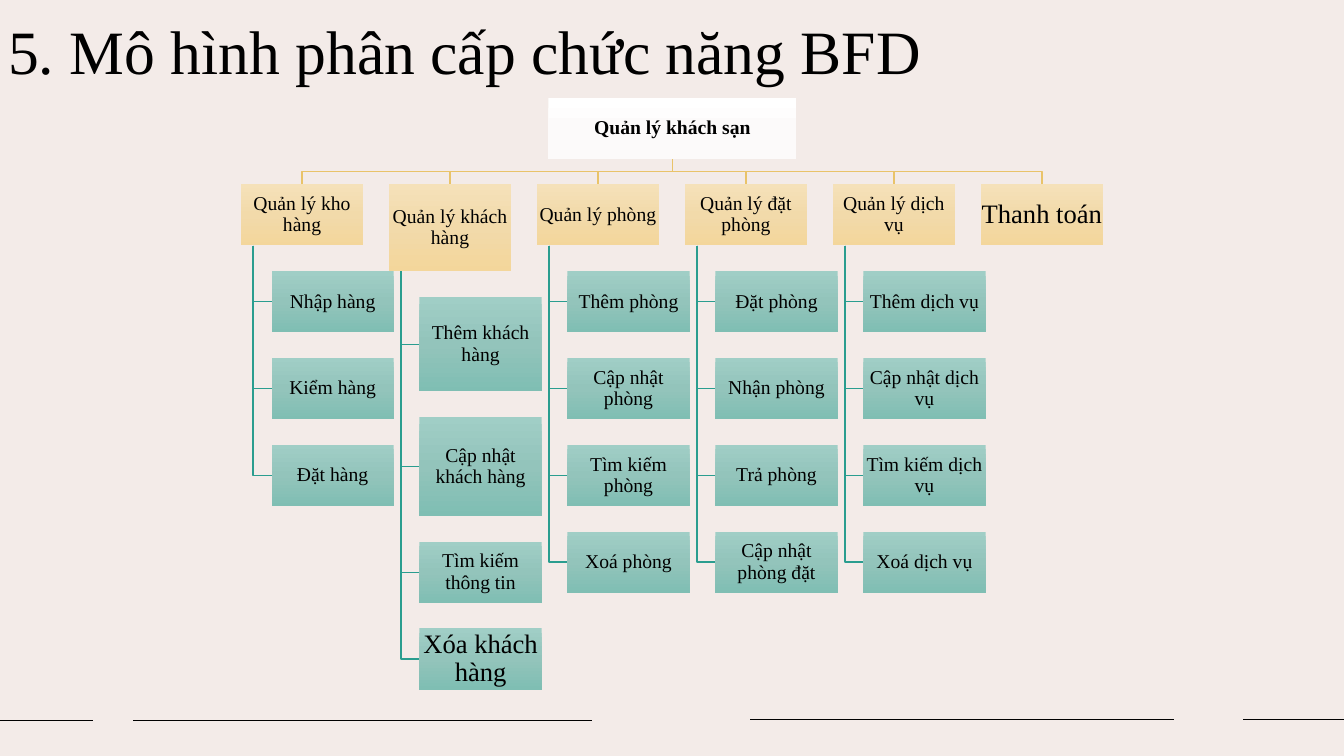
import copy
import dataclasses
import typing

import pptx
import pptx.dml.color
import pptx.enum.shapes
import pptx.enum.text
import pptx.oxml.ns
import pptx.oxml.xmlchemy
import pptx.util

Inches = pptx.util.Inches

FONT = "Times New Roman"
BLACK = "000000"
WHITE_FILL = ("FFFFFF", "FCFAFA", "FCFAF9")
SAND_FILL = ("F5E1B9", "F2DAAA", "F3D69B")
TEAL_FILL = ("A0CEC6", "93C4BB", "7FBEB3")
SAND_LINE = "E9C369"
TEAL_LINE = "2A9D8F"

# The chart's proportions all follow from the width of one box.
CHART_LEFT = 2.39
CHART_WIDTH = 8.55
BRANCH_TOP = 1.83
GAP_RATIO = 0.21
BRANCH_COUNT = 6
BOX_WIDTH = CHART_WIDTH / (BRANCH_COUNT + (BRANCH_COUNT - 1) * GAP_RATIO)
BOX_HEIGHT = BOX_WIDTH / 2
GAP = BOX_WIDTH * GAP_RATIO
CHILD_INDENT = BOX_WIDTH / 4
SPINE_INDENT = BOX_WIDTH / 10


@dataclasses.dataclass
class Box:
    text: str
    height: float = BOX_HEIGHT
    size: int = 14
    width: float = BOX_WIDTH
    bold: bool = False
    fill: tuple[str, ...] = TEAL_FILL
    left: float = 0
    top: float = 0

    @property
    def center(self) -> float:
        return self.left + self.width / 2

    @property
    def middle(self) -> float:
        return self.top + self.height / 2

    @property
    def bottom(self) -> float:
        return self.top + self.height


@dataclasses.dataclass
class Branch:
    head: Box
    children: list[Box]


class Rule(typing.NamedTuple):
    start: float
    end: float
    y: float


ROOT = Box("Quản lý khách sạn", width=2.46, bold=True, fill=WHITE_FILL, left=5.44, top=0.97)
BRANCHES = [
    Branch(Box("Quản lý kho hàng"), [Box("Nhập hàng"), Box("Kiểm hàng"), Box("Đặt hàng")]),
    Branch(Box("Quản lý khách hàng", height=0.86), [
        Box("Thêm khách hàng", height=0.94), Box("Cập nhật khách hàng", height=0.98),
        Box("Tìm kiếm thông tin"), Box("Xóa khách hàng", size=19)]),
    Branch(Box("Quản lý phòng"), [
        Box("Thêm phòng"), Box("Cập nhật phòng"), Box("Tìm kiếm phòng"), Box("Xoá phòng")]),
    Branch(Box("Quản lý đặt phòng"), [
        Box("Đặt phòng"), Box("Nhận phòng"), Box("Trả phòng"), Box("Cập nhật phòng đặt")]),
    Branch(Box("Quản lý dịch vụ"), [
        Box("Thêm dịch vụ"), Box("Cập nhật dịch vụ"), Box("Tìm kiếm dịch vụ"), Box("Xoá dịch vụ")]),
    Branch(Box("Thanh toán", size=19), []),
]
FOOTER_RULES = [Rule(0, 0.92, 7.15), Rule(1.32, 5.87, 7.15),
                Rule(7.44, 11.64, 7.14), Rule(12.33, 13.33, 7.14)]


def rgb(value: str) -> pptx.dml.color.RGBColor:
    return pptx.dml.color.RGBColor.from_string(value)


def apply_format(target: typing.Any, values: dict[str, typing.Any]) -> None:
    for name, value in values.items():
        setattr(target, name, value)


def format_font(font: typing.Any, size: int, bold: bool = False) -> None:
    apply_format(font, {"name": FONT, "size": pptx.util.Pt(size), "bold": bold})
    font.color.rgb = rgb(BLACK)


def format_line(line: typing.Any, color: str) -> None:
    line.color.rgb = rgb(color)
    line.width = pptx.util.Pt(1)


def fill_gradient(shape: typing.Any, colors: tuple[str, ...]) -> None:
    """Fill from top to bottom with evenly spaced colours."""
    shape.fill.gradient()
    shape.fill.gradient_angle = 270
    stop_list = shape._element.spPr.find(".//" + pptx.oxml.ns.qn("a:gsLst"))
    while len(stop_list) < len(colors):
        stop_list.append(copy.deepcopy(stop_list[0]))
    for index, (stop, color) in enumerate(zip(shape.fill.gradient_stops, colors)):
        stop.color.rgb = rgb(color)
        stop.position = index / (len(colors) - 1)


def arrange(branches: list[Branch]) -> None:
    """Place the heads in a row and each head's children below it."""
    for column, branch in enumerate(branches):
        left = CHART_LEFT + column * (BOX_WIDTH + GAP)
        apply_format(branch.head, {"left": left, "top": BRANCH_TOP, "fill": SAND_FILL})
        above = branch.head
        for child in branch.children:
            apply_format(child, {"left": left + CHILD_INDENT, "top": above.bottom + GAP})
            above = child


def draw_link(slide: typing.Any, color: str, *points: tuple[float, float]) -> None:
    start, *others = [(Inches(x), Inches(y)) for x, y in points]
    builder = slide.shapes.build_freeform(*start)
    builder.add_line_segments(others, close=False)
    shape = builder.convert_to_shape()
    shape.shadow.inherit = False
    shape.fill.background()
    format_line(shape.line, color)


def draw_branch_links(slide: typing.Any, root: Box, branch: Branch) -> None:
    head = branch.head
    bus = (root.bottom + head.top) / 2
    draw_link(slide, SAND_LINE, (root.center, root.bottom), (root.center, bus),
              (head.center, bus), (head.center, head.top))
    spine = head.left + SPINE_INDENT
    for child in branch.children:
        draw_link(slide, TEAL_LINE, (spine, head.bottom), (spine, child.middle), (child.left, child.middle))


def draw_box(slide: typing.Any, box: Box) -> None:
    bounds = [Inches(value) for value in (box.left, box.top, box.width, box.height)]
    shape = slide.shapes.add_shape(pptx.enum.shapes.MSO_SHAPE.RECTANGLE, *bounds)
    shape.shadow.inherit = False
    fill_gradient(shape, box.fill)
    shape.line.fill.background()
    margins = dict.fromkeys(("margin_left", "margin_top", "margin_right", "margin_bottom"), Inches(0.01))
    middle = pptx.enum.text.MSO_ANCHOR.MIDDLE
    apply_format(shape.text_frame, {**margins, "word_wrap": True, "vertical_anchor": middle})
    paragraph = shape.text_frame.paragraphs[0]
    apply_format(paragraph, {"text": box.text, "alignment": pptx.enum.text.PP_ALIGN.CENTER, "line_spacing": 0.9})
    format_font(paragraph.font, box.size, box.bold)


def draw_rule(slide: typing.Any, rule: Rule) -> None:
    ends = [Inches(value) for value in (rule.start, rule.y, rule.end, rule.y)]
    connector = slide.shapes.add_connector(pptx.enum.shapes.MSO_CONNECTOR.STRAIGHT, *ends)
    format_line(connector.line, BLACK)
    connector._element.spPr.append(pptx.oxml.xmlchemy.OxmlElement("a:effectLst"))


def write_title(slide: typing.Any, text: str) -> None:
    title = slide.shapes.title
    apply_format(title, {"left": 0, "top": 0, "width": Inches(10.89), "height": Inches(0.76)})
    apply_format(title.text_frame, {
        "margin_left": Inches(0.08), "margin_top": Inches(0.13), "margin_bottom": 0,
        "vertical_anchor": pptx.enum.text.MSO_ANCHOR.TOP,
        "auto_size": pptx.enum.text.MSO_AUTO_SIZE.NONE})
    paragraph = title.text_frame.paragraphs[0]
    apply_format(paragraph, {"text": text, "alignment": pptx.enum.text.PP_ALIGN.LEFT})
    format_font(paragraph.font, 44)


def main() -> None:
    presentation = pptx.Presentation()
    apply_format(presentation, {"slide_width": Inches(13.33), "slide_height": Inches(7.5)})
    slide = presentation.slides.add_slide(presentation.slide_layouts.get_by_name("Title Only"))
    slide.background.fill.solid()
    slide.background.fill.fore_color.rgb = rgb("F3EBE8")
    for rule in FOOTER_RULES:
        draw_rule(slide, rule)
    write_title(slide, "5. Mô hình phân cấp chức năng BFD")
    arrange(BRANCHES)
    for branch in BRANCHES:
        draw_branch_links(slide, ROOT, branch)
    draw_box(slide, ROOT)
    for branch in BRANCHES:
        for box in (branch.head, *branch.children):
            draw_box(slide, box)
    presentation.save("out.pptx")


if __name__ == "__main__":
    main()
